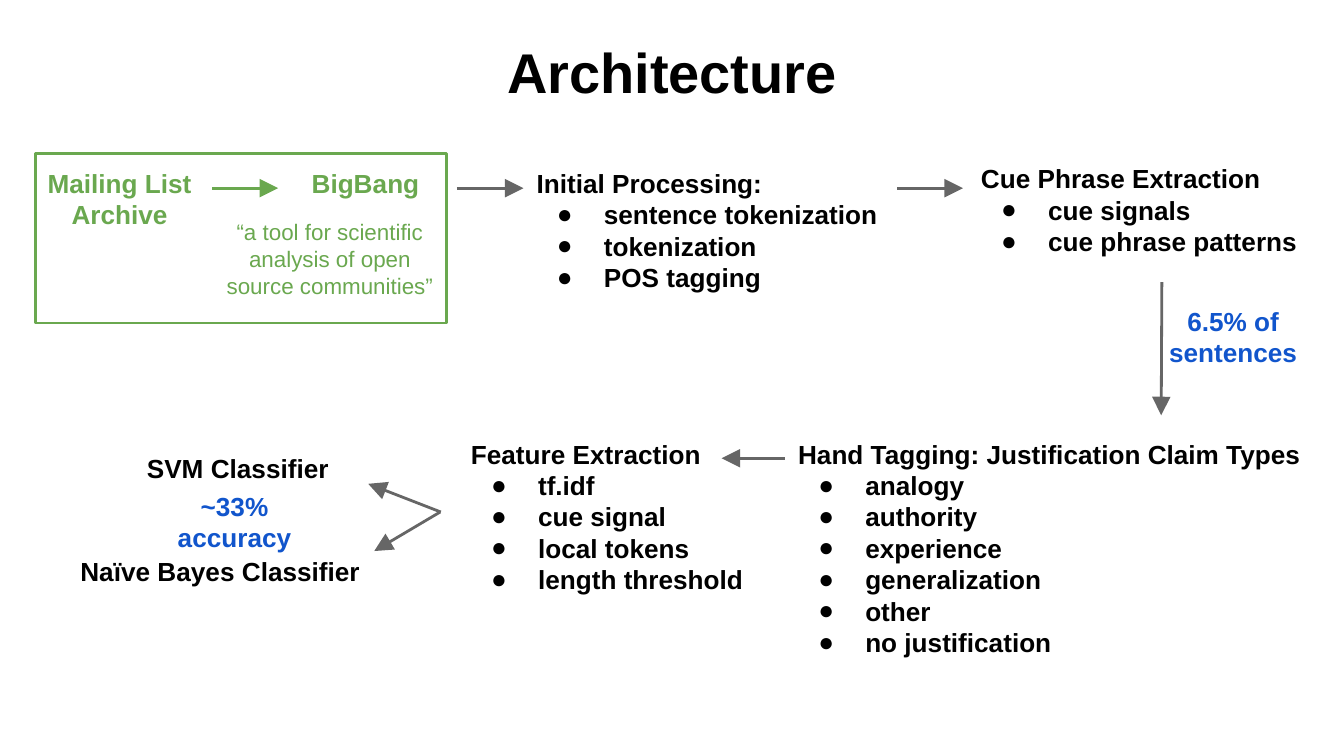
"""Build the Architecture slide: a text-processing flow from mailing lists to classifiers."""
from lxml.etree import SubElement
from pptx import Presentation
from pptx.dml.color import RGBColor
from pptx.enum.shapes import MSO_CONNECTOR, MSO_SHAPE
from pptx.enum.text import MSO_ANCHOR, MSO_AUTO_SIZE, PP_ALIGN
from pptx.oxml.ns import qn
from pptx.util import Pt

PX = 4572
THEME = {
    "font": "Arial", "black": "000000", "green": "6AA84F", "blue": "1155CC", "grey": "666666",
    "title": 30, "body": 14, "note": 12, "line": 1.5, "lead": 1.0, "pad": 20,
}
LEFT, MID = PP_ALIGN.LEFT, PP_ALIGN.CENTER
TOP, HALF = MSO_ANCHOR.TOP, MSO_ANCHOR.MIDDLE


def fill_text(shape, lines, color="black", align=LEFT, anchor=TOP, size="body", bold=True):
    frame = shape.text_frame
    pad = THEME["pad"] * PX
    look = {"word_wrap": True, "auto_size": MSO_AUTO_SIZE.NONE, "vertical_anchor": anchor,
            "margin_left": pad, "margin_right": pad, "margin_top": pad, "margin_bottom": pad}
    for key, value in look.items():
        setattr(frame, key, value)
    frame.text = "\n".join(lines)
    font = {"name": THEME["font"], "size": Pt(THEME[size]), "bold": bold}
    for rank, para in enumerate(frame.paragraphs):
        para.alignment, para.line_spacing = align, THEME["lead"]
        para.space_before = para.space_after = Pt(0)
        run = para.runs[0].font
        for key, value in font.items():
            setattr(run, key, value)
        run.color.rgb = RGBColor.from_string(THEME[color])
        if rank:
            props = para._p.get_or_add_pPr()
            props.set("marL", str(100 * PX))
            props.set("indent", str(-70 * PX))
            tint = SubElement(props, qn("a:buClr"))
            SubElement(tint, qn("a:srgbClr"), val=THEME[color])
            SubElement(props, qn("a:buFont"), typeface=THEME["font"])
            SubElement(props, qn("a:buChar"), char="●")


def style_line(line, color):
    line.color.rgb = RGBColor.from_string(THEME[color])
    line.width = Pt(THEME["line"])


deck = Presentation()
deck.slide_width, deck.slide_height = 2000 * PX, 1125 * PX
slide = deck.slides.add_slide(deck.slide_layouts[5])
shapes = slide.shapes

title = shapes.title
place = {"left": 0, "top": 36, "width": 2000, "height": 140}
for key, value in place.items():
    setattr(title, key, value * PX)
fill_text(title, ["Architecture"], align=MID, size="title")

frame = shapes.add_shape(MSO_SHAPE.RECTANGLE, *(n * PX for n in (53, 229, 611, 252)))
frame.shadow.inherit = False
frame.fill.background()
style_line(frame.line, "green")

lists = [
    ((779, 229, 556, 198), ["Initial Processing:", "sentence tokenization", "tokenization", "POS tagging"]),
    ((1440, 222, 578, 198), ["Cue Phrase Extraction", "cue signals", "cue phrase patterns"]),
    ((1168, 632, 828, 332), ["Hand Tagging: Justification Claim Types", "analogy", "authority",
                             "experience", "generalization", "other", "no justification"]),
    ((681, 632, 462, 332), ["Feature Extraction", "tf.idf", "cue signal", "local tokens",
                            "length threshold"]),
    ((100, 806, 508, 72), ["Naïve Bayes Classifier"]),
]
for box, lines in lists:
    fill_text(shapes.add_textbox(*(n * PX for n in box)), lines)

green = {"color": "green"}
blue = {"color": "blue", "anchor": HALF}
note = {"color": "green", "anchor": HALF, "size": "note", "bold": False}
labels = [
    ((48, 229, 260, 102), "Mailing List Archive", green),
    ((414, 229, 260, 84), "BigBang", green),
    ((315, 315, 352, 140), "“a tool for scientific analysis of open source communities”", note),
    ((1690, 454, 290, 94), "6.5% of sentences", blue),
    ((204, 729, 290, 94), "~33% accuracy", blue),
    ((100, 653, 508, 72), "SVM Classifier", {}),
]
for box, text, look in labels:
    fill_text(shapes.add_textbox(*(n * PX for n in box)), [text], align=MID, **look)

arrows = [
    ((316, 280, 414, 280), "green"),
    ((680, 280, 779, 280), "grey"),
    ((1335, 280, 1433, 280), "grey"),
    ((1729, 420, 1728, 618), "grey"),
    ((1168, 682, 1074, 682), "grey"),
    ((656, 762, 548, 720), "grey"),
    ((655, 762, 557, 820), "grey"),
]
for ends, color in arrows:
    arrow = shapes.add_connector(MSO_CONNECTOR.STRAIGHT, *(n * PX for n in ends))
    style_line(arrow.line, color)
    SubElement(arrow.line._get_or_add_ln(), qn("a:tailEnd"), type="triangle", w="lg", len="lg")
    SubElement(arrow._element.spPr, qn("a:effectLst"))

deck.save("out.pptx")
